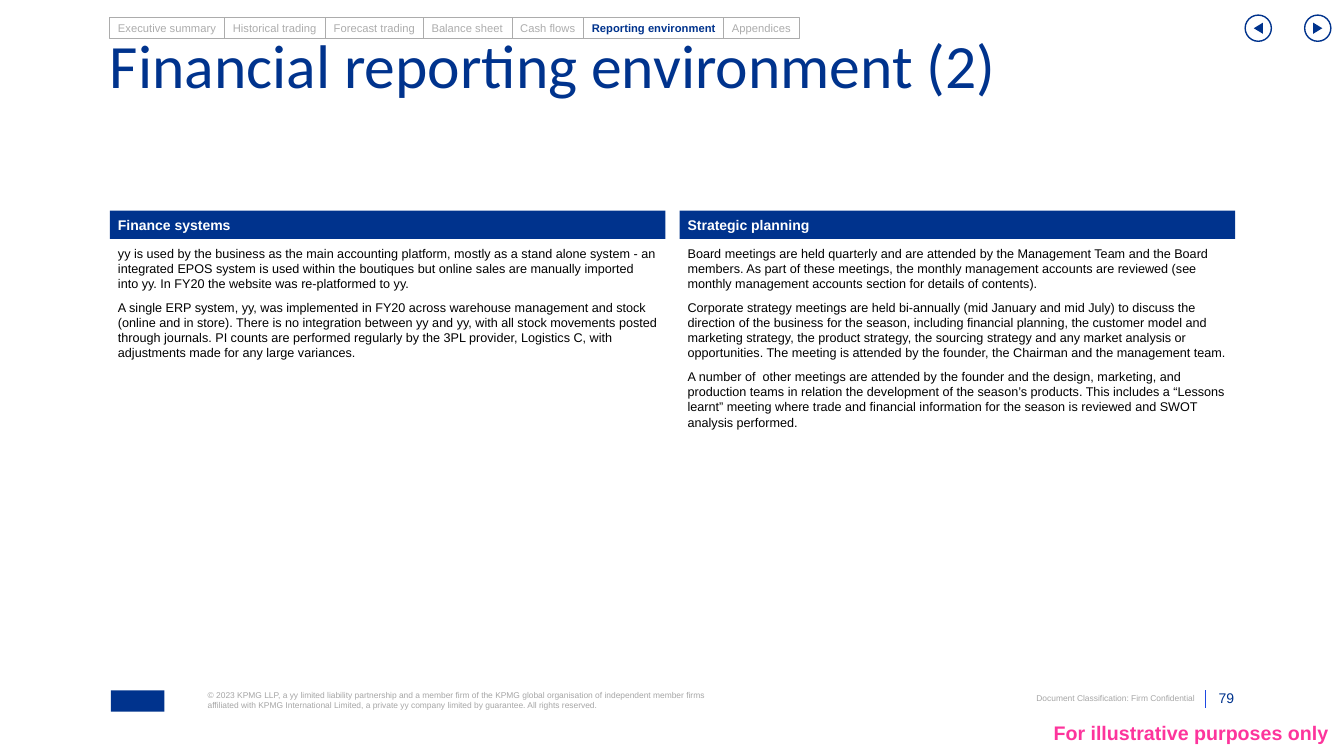
from collections import namedtuple

from lxml.etree import SubElement
from pptx import Presentation
from pptx.dml.color import RGBColor
from pptx.enum.shapes import MSO_CONNECTOR, MSO_SHAPE
from pptx.enum.text import MSO_ANCHOR as ANCHOR, MSO_AUTO_SIZE, PP_ALIGN as ALIGN
from pptx.oxml.ns import qn
from pptx.util import Inches, Pt

NAVY = RGBColor(0x00, 0x33, 0x8D)
BLUE = RGBColor(0x1E, 0x49, 0xE2)
PINK = RGBColor(0xFD, 0x34, 0x9C)
GREY = RGBColor(0xA6, 0xA6, 0xA6)
TAB_GREY = RGBColor(0xAC, 0xAC, 0xAC)
BLACK = RGBColor(0x00, 0x00, 0x00)
WHITE = RGBColor(0xFF, 0xFF, 0xFF)

Box = namedtuple("Box", "left top width height")

SLIDE_W, SLIDE_H = 13.33, 7.5
LEFT, RIGHT = 1.09, 12.25
GUTTER = 0.14
COLUMN_W = (RIGHT - LEFT - GUTTER) / 2
HEADER_H, HEADER_GAP = 0.28, 0.07
PAD = 0.08

TABS = [
    ("Executive summary", 1.14),
    ("Historical trading", 1.0),
    ("Forecast trading", 0.97),
    ("Balance sheet", 0.88),
    ("Cash flows", 0.71),
    ("Reporting environment", 1.39),
    ("Appendices", 0.75),
]
CURRENT_TAB = "Reporting environment"

FINANCE_SYSTEMS = [
    "yy is used by the business as the main accounting platform, mostly as a stand alone system - an integrated EPOS system is used within the boutiques but online sales are manually imported into yy. In FY20 the website was re-platformed to yy.",
    "A single ERP system, yy, was implemented in FY20 across warehouse management and stock (online and in store). There is no integration between yy and yy, with all stock movements posted through journals. PI counts are performed regularly by the 3PL provider, Logistics C, with adjustments made for any large variances.",
]
STRATEGIC_PLANNING = [
    "Board meetings are held quarterly and are attended by the Management Team and the Board members. As part of these meetings, the monthly management accounts are reviewed (see monthly management accounts section for details of contents).",
    "Corporate strategy meetings are held bi-annually (mid January and mid July) to discuss the direction of the business for the season, including financial planning, the customer model and marketing strategy, the product strategy, the sourcing strategy and any market analysis or opportunities. The meeting is attended by the founder, the Chairman and the management team.",
    "A number of  other meetings are attended by the founder and the design, marketing, and production teams in relation the development of the season’s products. This includes a “Lessons learnt” meeting where trade and financial information for the season is reviewed and SWOT analysis performed.",
]
COPYRIGHT = "© 2023 KPMG LLP, a yy limited liability partnership and a member firm of the KPMG global organisation of independent member firms affiliated with KPMG International Limited, a private yy company limited by guarantee. All rights reserved."


def place(shape, box):
    shape.left, shape.top, shape.width, shape.height = map(Inches, box)


def write(shape, *paragraphs, size, color, font="Arial", bold=False, align=ALIGN.LEFT,
          anchor=ANCHOR.TOP, insets=(0, 0, 0, 0), spacing=1.0, after=0, wrap=True):
    """Fill the shape with unbulleted paragraphs; insets run left, top, right, bottom."""
    frame = shape.text_frame
    frame.auto_size = MSO_AUTO_SIZE.NONE
    frame.word_wrap = wrap
    frame.vertical_anchor = anchor
    (frame.margin_left, frame.margin_top,
     frame.margin_right, frame.margin_bottom) = map(Inches, insets)
    frame.text = "\n".join(paragraphs)
    for paragraph in frame.paragraphs:
        properties = paragraph._p.get_or_add_pPr()
        properties.set("marL", "0")
        properties.set("indent", "0")
        SubElement(properties, qn("a:buNone"))
        paragraph.alignment = align
        paragraph.line_spacing = spacing
        paragraph.space_before = Pt(0)
        paragraph.space_after = Pt(after)
        for run in paragraph.runs:
            run.font.name = font
            run.font.size = Pt(size)
            run.font.bold = bold
            run.font.color.rgb = color


def add_label(slide, box, text, **text_format):
    label = slide.shapes.add_textbox(*map(Inches, box))
    write(label, text, **text_format)


def add_plain_shape(slide, preset, box, fill=None, line=None, weight=1.0):
    shape = slide.shapes.add_shape(preset, *map(Inches, box))
    shape.shadow.inherit = False
    if fill is None:
        shape.fill.background()
    else:
        shape.fill.solid()
        shape.fill.fore_color.rgb = fill
    if line is None:
        shape.line.fill.background()
    else:
        shape.line.color.rgb = line
        shape.line.width = Pt(weight)
    return shape


def add_section_tabs(slide, box):
    left = box.left
    for name, width in TABS:
        current = name == CURRENT_TAB
        tab = add_plain_shape(slide, MSO_SHAPE.RECTANGLE, Box(left, box.top, width, box.height),
                              line=TAB_GREY, weight=0.75)
        write(tab, name, size=8, color=NAVY if current else TAB_GREY, bold=current,
              anchor=ANCHOR.MIDDLE, insets=(PAD, 0.04, PAD, 0.04), wrap=False)
        left += width


def add_page_button(slide, box, rotation):
    """Draw a ringed arrowhead centred in the box."""
    arrow_w, arrow_h = 0.11, 0.09
    arrow_box = Box(box.left + (box.width - arrow_w) / 2,
                    box.top + (box.height - arrow_h) / 2, arrow_w, arrow_h)
    arrow = add_plain_shape(slide, MSO_SHAPE.ISOSCELES_TRIANGLE, arrow_box, fill=NAVY)
    arrow.rotation = rotation
    add_plain_shape(slide, MSO_SHAPE.OVAL, box, line=NAVY)


def fill_topic(header, body, box, heading, paragraphs):
    place(header, Box(box.left, box.top, box.width, HEADER_H))
    header.fill.solid()
    header.fill.fore_color.rgb = NAVY
    write(header, heading, size=10, color=WHITE, bold=True,
          anchor=ANCHOR.MIDDLE, insets=(PAD, 0, PAD, 0))
    offset = HEADER_H + HEADER_GAP
    place(body, Box(box.left, box.top + offset, box.width, box.height - offset))
    write(body, *paragraphs, size=9, color=BLACK, insets=(PAD, 0, PAD, 0), after=6)


def add_footer(slide, box):
    right = box.left + box.width
    add_plain_shape(slide, MSO_SHAPE.RECTANGLE, Box(box.left, box.top, 0.53, box.height), fill=NAVY)
    add_label(slide, Box(box.left + 0.96, box.top, 5.06, 0.2), COPYRIGHT, size=6, color=GREY)
    add_label(slide, Box(right - 2.43, box.top + 0.03, 2.04, 0.1),
              "Document Classification: Firm Confidential", size=6, color=GREY, align=ALIGN.RIGHT)
    add_label(slide, Box(right - 0.27, box.top, 0.27, 0.16), "79",
              size=10, color=NAVY, align=ALIGN.RIGHT, anchor=ANCHOR.BOTTOM)
    divider_x = Inches(right - 0.29)
    divider = slide.shapes.add_connector(MSO_CONNECTOR.STRAIGHT, divider_x, Inches(box.top),
                                         divider_x, Inches(box.top + 0.17))
    divider.line.color.rgb = BLUE
    divider.line.width = Pt(0.5)
    SubElement(divider._element.spPr, qn("a:effectLst"))


def build_reporting_slide(deck):
    comparison_layout = deck.slide_layouts[4]
    slide = deck.slides.add_slide(comparison_layout)
    title, *topic_parts = slide.placeholders
    place(title, Box(LEFT, 0.47, RIGHT - LEFT, 0.59))
    write(title, "Financial reporting environment (2)", size=44, color=NAVY,
          font="Calibri", spacing=0.7)

    topics = [("Finance systems", FINANCE_SYSTEMS), ("Strategic planning", STRATEGIC_PLANNING)]
    for column, (heading, paragraphs) in enumerate(topics):
        header, body = topic_parts[2 * column:2 * column + 2]
        box = Box(LEFT + column * (COLUMN_W + GUTTER), 2.09, COLUMN_W, 2.44)
        fill_topic(header, body, box, heading, paragraphs)

    add_section_tabs(slide, Box(LEFT, 0.17, sum(width for _, width in TABS), 0.21))
    for left, rotation in [(12.35, 270), (12.94, 90)]:
        add_page_button(slide, Box(left, 0.15, 0.26, 0.26), rotation)
    add_footer(slide, Box(1.1, 6.85, 11.14, 0.21))
    add_label(slide, Box(10.4, 7.07, 2.78, 0.39), "For illustrative purposes only",
              size=14, color=PINK, bold=True, align=ALIGN.RIGHT, anchor=ANCHOR.MIDDLE,
              insets=(0, 0.04, 0, 0), spacing=0.8)


def main():
    deck = Presentation()
    deck.slide_width, deck.slide_height = Inches(SLIDE_W), Inches(SLIDE_H)
    build_reporting_slide(deck)
    deck.save("out.pptx")


if __name__ == "__main__":
    main()
